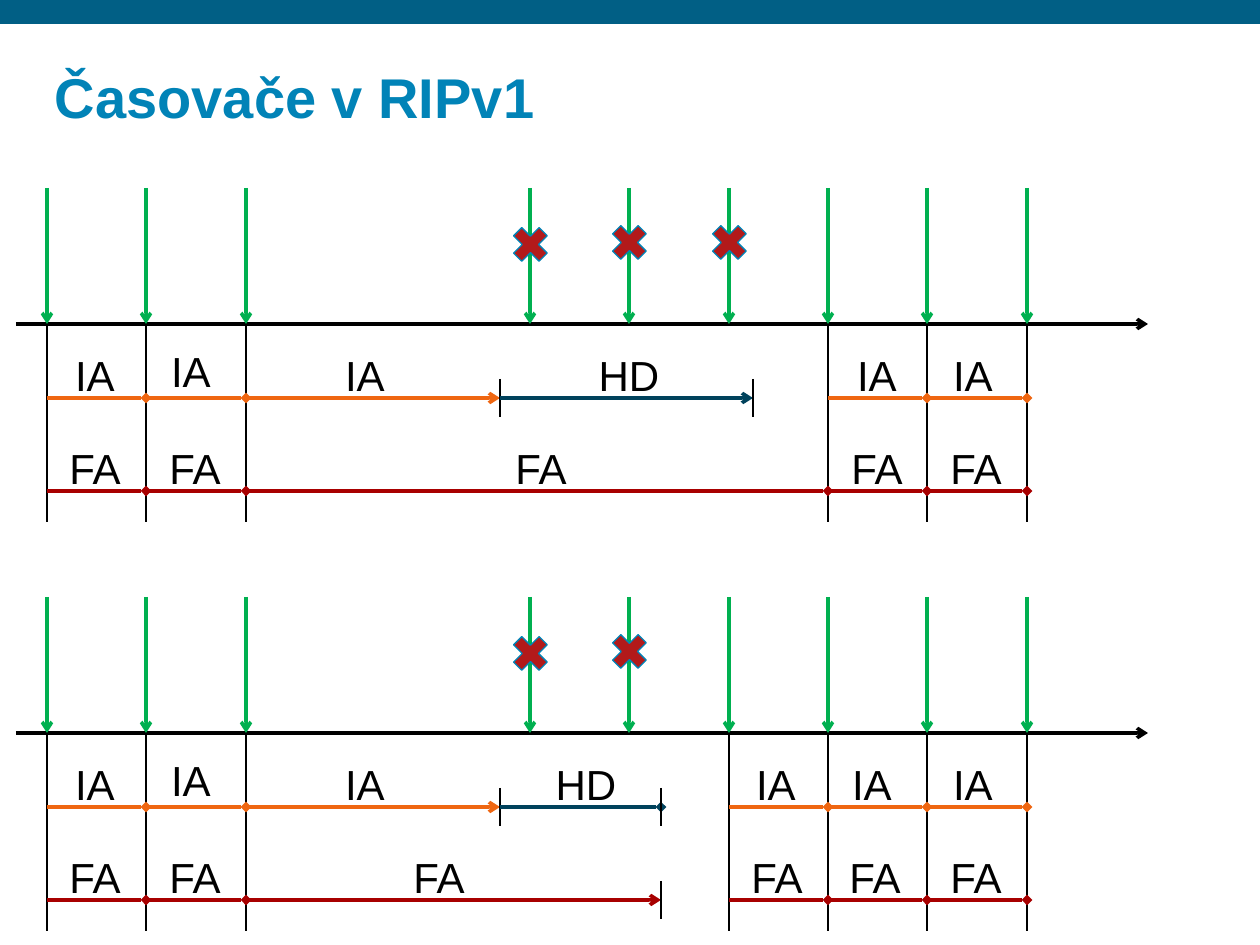
from lxml.etree import SubElement
from pptx import Presentation
from pptx.dml.color import RGBColor
from pptx.enum.shapes import MSO_CONNECTOR, MSO_SHAPE
from pptx.enum.text import MSO_ANCHOR, PP_ALIGN
from pptx.oxml.ns import qn
from pptx.util import Pt

EMU_PER_INCH = 914400
PX_PER_INCH = 126
BLACK, GREEN, BLUE = "000000", "00B050", "0183B7"
ORANGE, NAVY, RED = "EF6611", "00425C", "A80000"

# Update arrivals and row heights, relative to a timeline's box
ARRIVALS = (31, 130, 230, 514, 613, 713, 812, 911, 1011)
AXIS, UPPER_ROW, LOWER_ROW = 136, 210, 303
LABEL_WIDTHS = {"IA": 66, "HD": 87, "FA": 77}
LABEL_FORMAT = {"name": "Arial", "size": Pt(24)}
TITLE_FORMAT = {"name": "Arial", "size": Pt(32), "bold": True}

# Timers: label, start, end, label centre, arrowhead
FIRST_TIMERS = [("IA", 31, 130, 79, "diamond"), ("IA", 130, 230, 175, "diamond"),
                ("IA", 230, 484, 349, "arrow")]
FIRST_FLUSHES = [("FA", 31, 130, 79, "diamond"), ("FA", 130, 230, 179, "diamond")]
LAST_TIMERS = [("IA", 911, 1011, 957, "diamond")]
LAST_FLUSHES = [("FA", 911, 1011, 960, "diamond")]
TIMELINES = [
    {
        "top": 188,
        "rejected": (514, 613, 713),
        "accepted": (31, 130, 230, 812, 911, 1011),
        "upper": FIRST_TIMERS + [("HD", 484, 737, 613, "arrow"),
                                 ("IA", 812, 911, 861, "diamond")] + LAST_TIMERS,
        "lower": FIRST_FLUSHES + [("FA", 230, 812, 525, "diamond"),
                                  ("FA", 812, 911, 861, "diamond")] + LAST_FLUSHES,
    },
    {
        "top": 597,
        "rejected": (514, 613),
        "accepted": (31, 130, 230, 713, 812, 911, 1011),
        "upper": FIRST_TIMERS + [("HD", 484, 645, 570, "diamond"),
                                 ("IA", 713, 812, 760, "diamond"),
                                 ("IA", 812, 911, 856, "diamond")] + LAST_TIMERS,
        "lower": FIRST_FLUSHES + [("FA", 230, 645, 423, "arrow"),
                                  ("FA", 713, 812, 761, "diamond"),
                                  ("FA", 812, 911, 859, "diamond")] + LAST_FLUSHES,
    },
]
TIMER_COLOURS = {"IA": ORANGE, "HD": NAVY, "FA": RED}


def px(length):
    return round(length * EMU_PER_INCH / PX_PER_INCH)


def colour(hex_string):
    return RGBColor.from_string(hex_string)


def add_line(slide, start, end, line_colour, width, arrowhead=None):
    line = slide.shapes.add_connector(
        MSO_CONNECTOR.STRAIGHT, *[px(value) for value in (*start, *end)])
    line.line.color.rgb = colour(line_colour)
    line.line.width = Pt(width)
    properties = line._element.spPr
    if arrowhead:
        SubElement(properties.find(qn("a:ln")), qn("a:tailEnd"), type=arrowhead)
    SubElement(properties, qn("a:effectLst"))


def add_preset(slide, preset, box, fill, outline=None):
    shape = slide.shapes.add_shape(preset, *[px(value) for value in box])
    shape.shadow.inherit = False
    shape.fill.solid()
    shape.fill.fore_color.rgb = colour(fill)
    if outline:
        shape.line.color.rgb = colour(outline)
        shape.line.width = Pt(0.75)
    else:
        shape.line.fill.background()


def add_text(slide, text, box, text_colour, font_format, wrap, alignment):
    shape = slide.shapes.add_textbox(*[px(value) for value in box])
    frame = shape.text_frame
    frame.word_wrap = wrap
    paragraph = frame.paragraphs[0]
    paragraph.text = text
    paragraph.alignment = alignment
    paragraph.line_spacing = 0.9
    font = paragraph.runs[0].font
    for name, value in font_format.items():
        setattr(font, name, value)
    font.color.rgb = colour(text_colour)
    return frame


def add_header(slide, left, top, width):
    add_preset(slide, MSO_SHAPE.RECTANGLE, (left, top, width, 24), "015F85")
    frame = add_text(slide, "Časovače v RIPv1", (left + 44, top + 42, width - 89, 94),
                     BLUE, TITLE_FORMAT, True, PP_ALIGN.LEFT)
    frame.vertical_anchor = MSO_ANCHOR.BOTTOM
    margins = {"margin_left": 11, "margin_right": 11, "margin_top": 5, "margin_bottom": 5}
    for name, value in margins.items():
        setattr(frame, name, px(value))


def add_timer_row(slide, left, row, timers):
    """Draw one row of timers; a timer ending between updates gets a short end mark."""
    for label, start, end, centre, arrowhead in timers:
        add_line(slide, (left + start, row), (left + end, row),
                 TIMER_COLOURS[label], 2, arrowhead)
        if end not in ARRIVALS:
            add_line(slide, (left + end, row - 19), (left + end, row + 19), BLACK, 1.5)
        width = LABEL_WIDTHS[label]
        raised = 4 if (label, start) == ("IA", 130) else 0
        add_text(slide, label, (left + centre - width / 2, row - 49 - raised, width, 59),
                 BLACK, LABEL_FORMAT, False, PP_ALIGN.CENTER)


def add_timeline(slide, left, top, width, height, timeline):
    axis = top + AXIS
    add_line(slide, (left, axis), (left + width, axis), BLACK, 2, "arrow")
    for arrival in ARRIVALS:
        add_line(slide, (left + arrival, top), (left + arrival, axis), GREEN, 2, "arrow")
    for arrival in timeline["accepted"]:
        add_line(slide, (left + arrival, axis), (left + arrival, top + height), BLACK, 1)
    for index, arrival in enumerate(timeline["rejected"]):
        cross_top = top + (30 if index else 32)
        add_preset(slide, MSO_SHAPE.MATH_MULTIPLY,
                   (left + arrival - 24, cross_top, 49, 49), "B21A1A", BLUE)
    add_timer_row(slide, left, top + UPPER_ROW, timeline["upper"])
    add_timer_row(slide, left, top + LOWER_ROW, timeline["lower"])


def main():
    presentation = Presentation()
    presentation.slide_width = px(1260)
    presentation.slide_height = px(945)
    slide = presentation.slides.add_slide(presentation.slide_layouts[6])
    add_header(slide, 0, 0, 1260)
    for timeline in TIMELINES:
        add_timeline(slide, 16, timeline["top"], 1132, 334, timeline)
    presentation.save("out.pptx")


if __name__ == "__main__":
    main()
